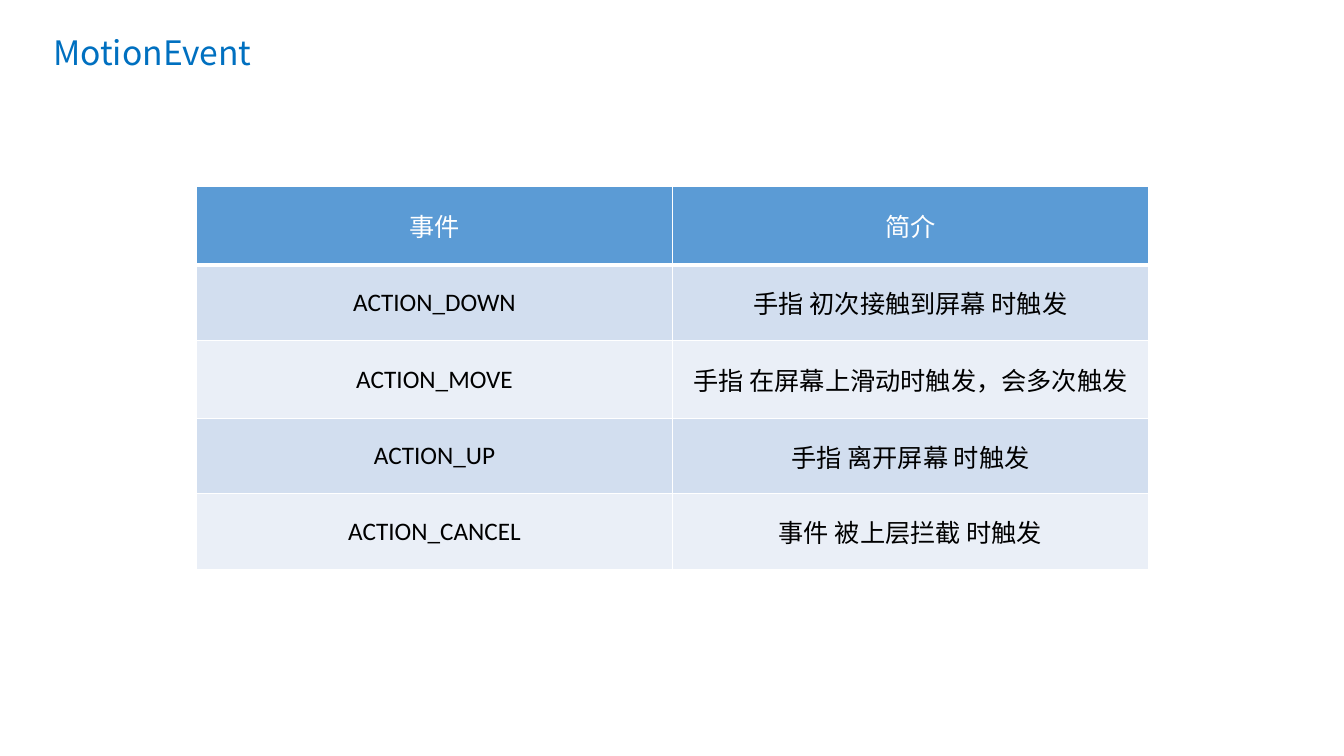
from pptx import Presentation
from pptx.dml.color import RGBColor
from pptx.enum.shapes import MSO_SHAPE
from pptx.enum.text import MSO_ANCHOR, PP_ALIGN
from pptx.oxml import parse_xml
from pptx.oxml.ns import nsdecls
from pptx.util import Inches, Pt

COLORS = {
    "title": "0070C0",
    "header": "5B9BD5",
    "odd": "D2DEEF",
    "even": "EAEFF7",
    "white": "FFFFFF",
    "black": "000000",
}
EVENTS = [
    ("事件", "简介"),
    ("ACTION_DOWN", "手指 初次接触到屏幕 时触发"),
    ("ACTION_MOVE", "手指 在屏幕上滑动时触发，会多次触发"),
    ("ACTION_UP", "手指 离开屏幕 时触发"),
    ("ACTION_CANCEL", "事件 被上层拦截 时触发"),
]
ROW_HEIGHTS = [0.78, 0.75, 0.77, 0.75, 0.75]
COLUMN_WIDTH = 4.72


def rgb(name):
    return RGBColor.from_string(COLORS[name])


def write(tf, text, color, align, **font):
    tf.word_wrap = True
    p = tf.paragraphs[0]
    p.alignment = align
    r = p.add_run()
    r.text = text
    r.font.color.rgb = rgb(color)
    for name, value in font.items():
        setattr(r.font, name, value)


def add_title(s, text):
    sp = s.shapes.add_shape(MSO_SHAPE.ROUNDED_RECTANGLE, Inches(0.39),
                            Inches(0.23), Inches(8.15), Inches(0.58))
    sp.adjustments[0] = 0.234
    sp.shadow.inherit = False
    sp.fill.background()
    sp.line.fill.background()
    sp.text_frame.vertical_anchor = MSO_ANCHOR.MIDDLE
    write(sp.text_frame, text, "title", PP_ALIGN.LEFT,
          size=Pt(24), name="Noto Sans CJK SC")


def set_borders(cell, bottom):
    # Borders precede the fill in the cell properties
    tcPr = cell._tc.get_or_add_tcPr()
    widths = {"lnL": 1, "lnR": 1, "lnT": 1, "lnB": bottom}
    for i, (side, width) in enumerate(widths.items()):
        tcPr.insert(i, parse_xml(
            f'<a:{side} {nsdecls("a")} w="{Pt(width)}"><a:solidFill>'
            f'<a:srgbClr val="{COLORS["white"]}"/></a:solidFill></a:{side}>'))


def add_event_table(s):
    table = s.shapes.add_table(
        len(EVENTS), 2, Inches(1.95), Inches(1.85),
        Inches(2 * COLUMN_WIDTH), Inches(sum(ROW_HEIGHTS))).table
    for column in table.columns:
        column.width = Inches(COLUMN_WIDTH)
    for i, (texts, height) in enumerate(zip(EVENTS, ROW_HEIGHTS)):
        table.rows[i].height = Inches(height)
        fill = "header" if i == 0 else "odd" if i % 2 else "even"
        for j, text in enumerate(texts):
            cell = table.cell(i, j)
            cell.fill.solid()
            cell.fill.fore_color.rgb = rgb(fill)
            cell.vertical_anchor = MSO_ANCHOR.MIDDLE
            set_borders(cell, bottom=1 if i else 3)
            write(cell.text_frame, text, "black" if i else "white",
                  PP_ALIGN.CENTER, size=Pt(18), name="Calibri", bold=False)


def main():
    prs = Presentation()
    prs.slide_width, prs.slide_height = Inches(13.33), Inches(7.5)
    s = prs.slides.add_slide(prs.slide_layouts[6])
    add_title(s, "MotionEvent")
    add_event_table(s)
    prs.save("out.pptx")


if __name__ == "__main__":
    main()
